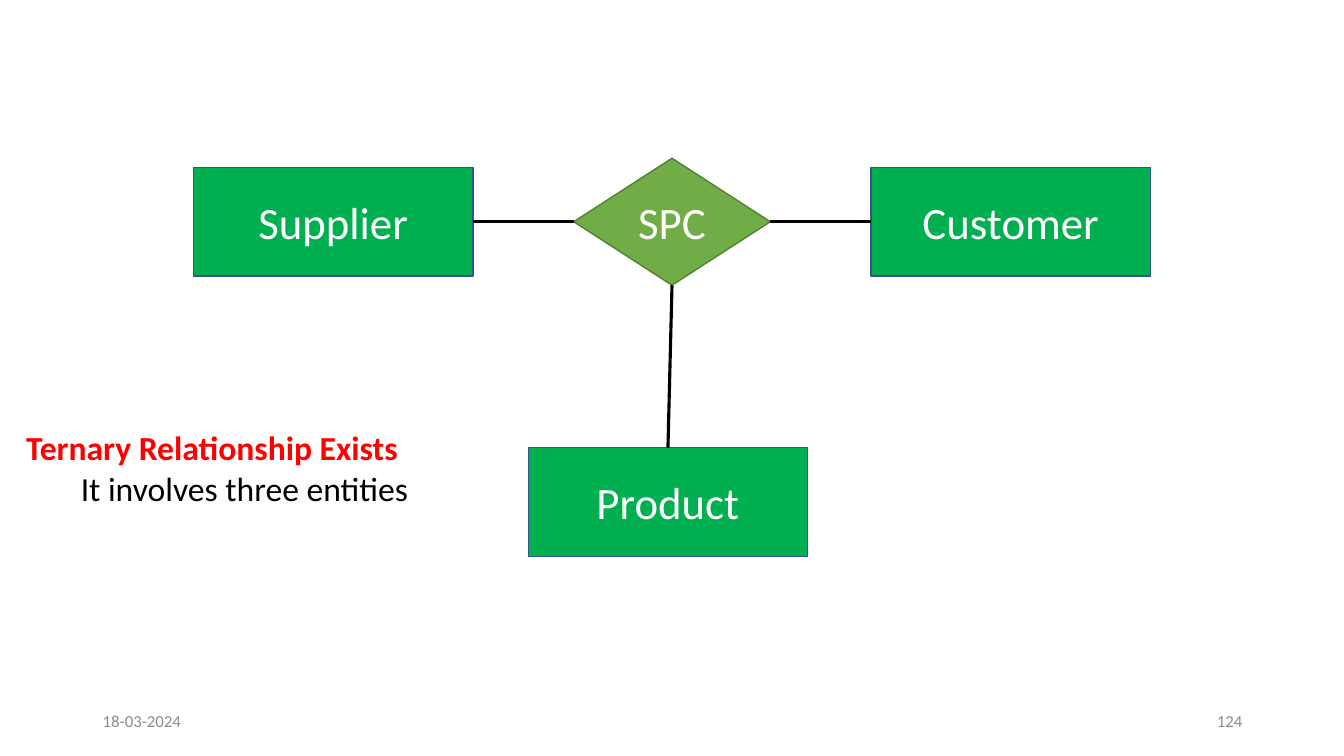
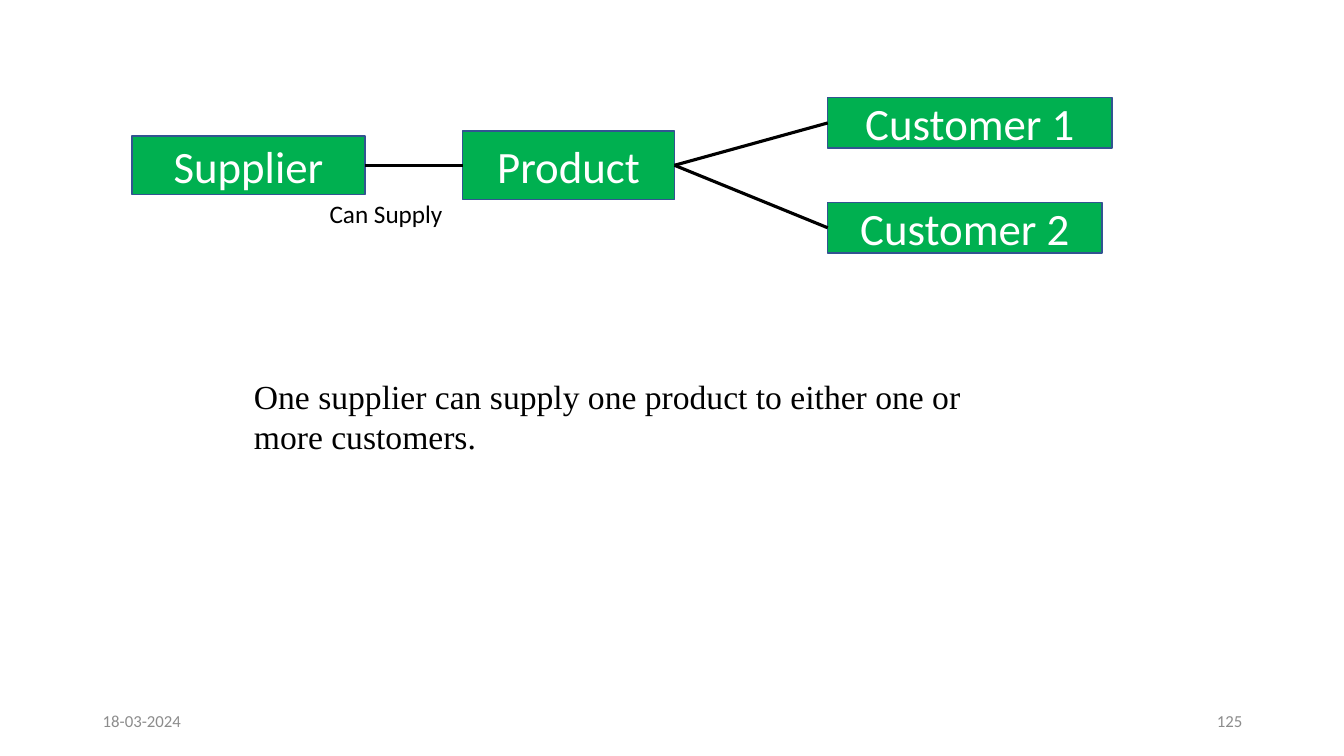
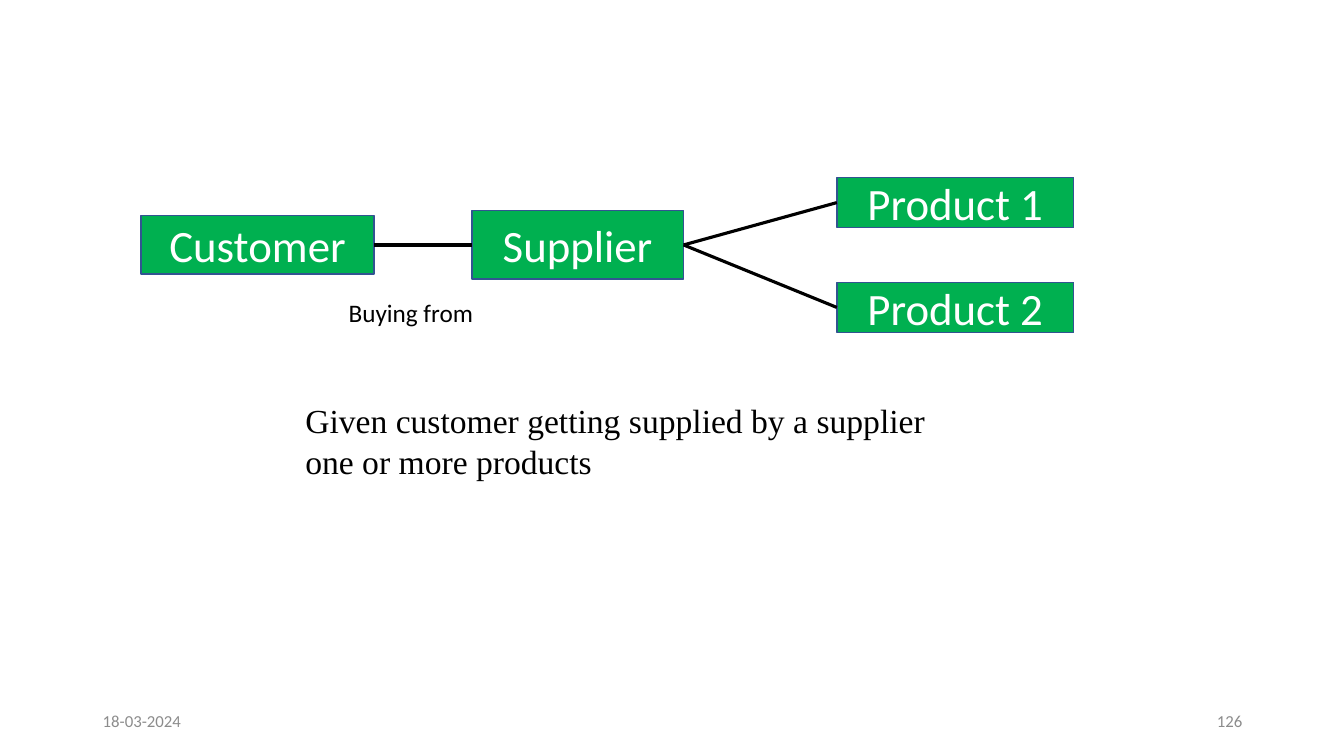
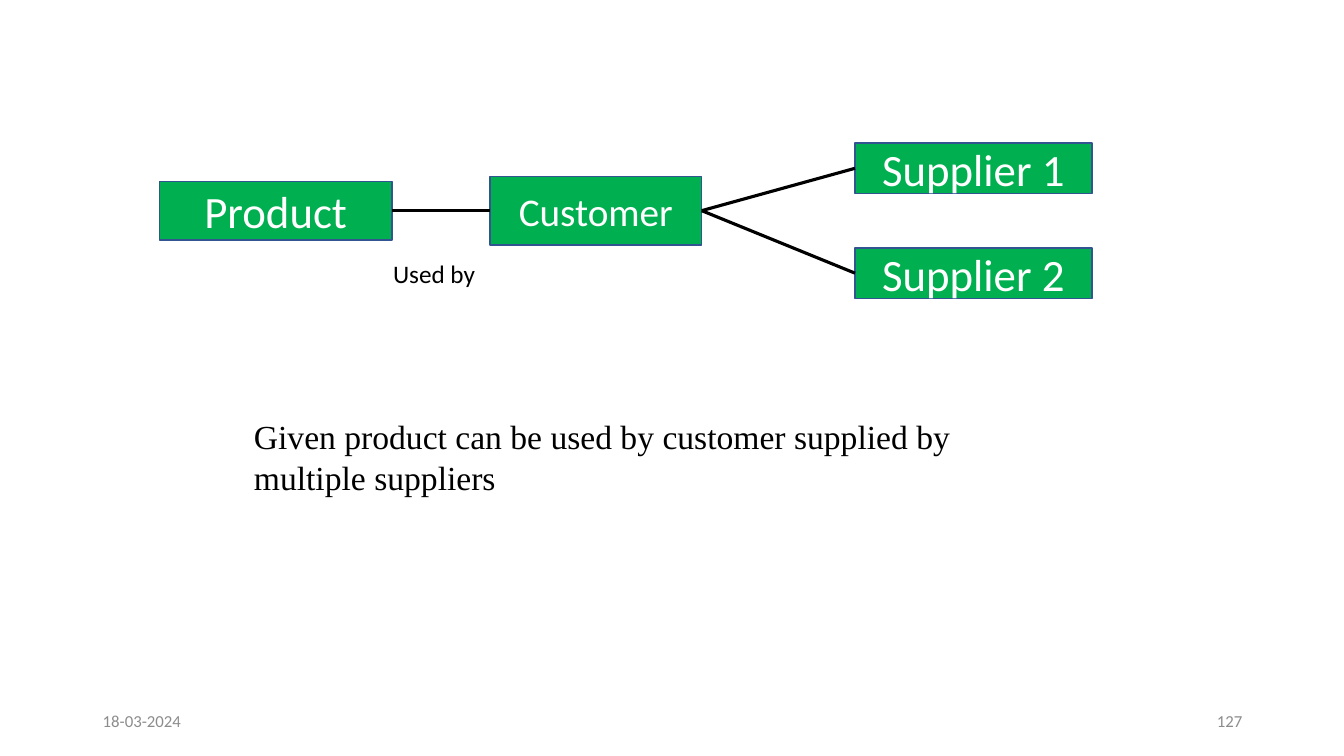
from pptx import Presentation
from pptx.dml.color import RGBColor
from pptx.enum.shapes import MSO_CONNECTOR as Line, MSO_SHAPE as Shape
from pptx.enum.text import MSO_ANCHOR as Anchor, PP_ALIGN as Align
from pptx.oxml.ns import qn
from pptx.util import Inches, Pt

GREEN, NAVY = "00B050", "325491"
LEAF, MOSS = "70AD47", "538035"
BLACK, WHITE, GREY, RED = "000000", "FFFFFF", "8C8C8C", "FF0000"
SANS, SERIF = "Calibri", "Times New Roman"
DATE, FIRST = "18-03-2024", 124
TOP, LEFT, BOTTOM, RIGHT = range(4)


def paint(item, color):
    """Set a solid colour on a fill, or the colour of a font."""
    if hasattr(item, "solid"):
        item.solid()
        item.fore_color.rgb = RGBColor.from_string(color)
    else:
        item.color.rgb = RGBColor.from_string(color)


def style(para, size, color, font=SANS, align=Align.LEFT, bold=False):
    """Format a paragraph and its runs."""
    para.alignment = align
    for run in para.runs:
        run.font.name, run.font.size, run.font.bold = font, Pt(size), bold
        paint(run.font, color)


def write(shapes, box, text, size, color=BLACK, font=SANS, align=Align.LEFT,
          wrap=True, anchor=Anchor.TOP):
    """Add a text box and return its frame."""
    frame = shapes.add_textbox(*map(Inches, box)).text_frame
    frame.word_wrap, frame.vertical_anchor = wrap, anchor
    frame.text = text
    for para in frame.paragraphs:
        style(para, size, color, font, align)
    return frame


def node(shapes, box, text, size=32, kind=Shape.RECTANGLE, fill=GREEN, edge=NAVY):
    """Add a labelled entity or relationship."""
    shape = shapes.add_shape(kind, *map(Inches, box))
    shape.shadow.inherit = False
    paint(shape.fill, fill)
    paint(shape.line.fill, edge)
    shape.line.width = Pt(1)
    frame = shape.text_frame
    frame.text, frame.vertical_anchor = text, Anchor.MIDDLE
    style(frame.paragraphs[0], size, WHITE, align=Align.CENTER)
    return shape


def link(shapes, start, side, end, other):
    """Join the sides of two nodes with a black line."""
    line = shapes.add_connector(Line.STRAIGHT, start.left, start.top, start.left, start.top)
    line.begin_connect(start, side)
    line.end_connect(end, other)
    paint(line.line.fill, BLACK)
    line.line.width = Pt(2.25)
    props = line._element.spPr
    props.append(props.makeelement(qn("a:effectLst"), {}))


def footer(shapes, number):
    """Add the date and the slide number."""
    for left, text, align in ((0.92, DATE, Align.LEFT), (9.42, str(number), Align.RIGHT)):
        write(shapes, (left, 6.95, 3, 0.4), text, 12, GREY, align=align, anchor=Anchor.MIDDLE)


def star(shapes, x, y):
    """Draw three entities around one relationship."""
    wide, high = 2.77, 1.08
    left, right, low = [node(shapes, (x + dx, y + dy, wide, high), text) for dx, dy, text in (
        (0, 0.09, "Supplier"), (6.72, 0.09, "Customer"), (3.32, 2.87, "Product"))]
    hub = node(shapes, (x + 3.77, y, 1.95, 1.26), "SPC", 32, Shape.DIAMOND, LEAF, MOSS)
    link(shapes, left, RIGHT, hub, LEFT)
    link(shapes, hub, RIGHT, right, LEFT)
    link(shapes, hub, BOTTOM, low, TOP)


def claim(shapes, box):
    """Add the red heading with its centred remark."""
    frame = write(shapes, box, "Ternary Relationship Exists\nIt involves three entities", 24)
    head, remark = frame.paragraphs
    style(head, 24, RED, bold=True)
    style(remark, 24, BLACK, align=Align.CENTER)


def fork(shapes, x, y, names, widths, size):
    """Draw a chain of two entities that splits into two more."""
    group = shapes.add_group_shape().shapes
    axis, step = y + 0.67, 1.04
    first = node(group, (x, axis - 0.29, 2.31, 0.58), names[0])
    middle = node(group, (x + 3.28, axis - 0.34, 2.1, 0.68), names[1], size)
    link(group, first, RIGHT, middle, LEFT)
    for i, wide in enumerate(widths):
        leaf = node(group, (x + 6.9, y + i * step, wide, 0.5), f"{names[2]} {i + 1}")
        link(group, middle, RIGHT, leaf, LEFT)


FORKS = [
    dict(at=(1.31, 0.97), names=("Supplier", "Product", "Customer"), widths=(2.82, 2.72), size=32,
         label="Can Supply", tag=(3.17, 1.92, 1.32, 0.4), box=(2.42, 3.68, 7.44, 0.91),
         note="One supplier can supply one product to either one or more customers."),
    dict(at=(1.4, 1.76), names=("Customer", "Supplier", "Product"), widths=(2.35, 2.35), size=32,
         label="Buying from", tag=(3.36, 2.9, 1.44, 0.4), box=(2.93, 3.92, 6.76, 0.91),
         note="Given customer getting supplied by a supplier one or more products"),
    dict(at=(1.58, 1.42), names=("Product", "Customer", "Supplier"), widths=(2.35, 2.35), size=28,
         label="Used by", tag=(3.8, 2.51, 1.06, 0.4), box=(2.42, 4.08, 8.14, 0.91),
         note="Given product can be used by customer supplied by multiple suppliers"),
]


def main():
    """Build and save the deck."""
    deck = Presentation()
    deck.slide_width, deck.slide_height = Inches(13.33), Inches(7.5)
    pages = [deck.slides.add_slide(deck.slide_layouts[6]).shapes for _ in range(len(FORKS) + 1)]
    for number, shapes in enumerate(pages, FIRST):
        footer(shapes, number)
    star(pages[0], 1.92, 1.57)
    claim(pages[0], (0.16, 4.19, 4.53, 0.91))
    for shapes, case in zip(pages[1:], FORKS):
        fork(shapes, *case["at"], case["names"], case["widths"], case["size"])
        write(shapes, case["tag"], case["label"], 18, wrap=False)
        write(shapes, case["box"], case["note"], 24, font=SERIF)
    deck.save("out.pptx")


if __name__ == "__main__":
    main()
